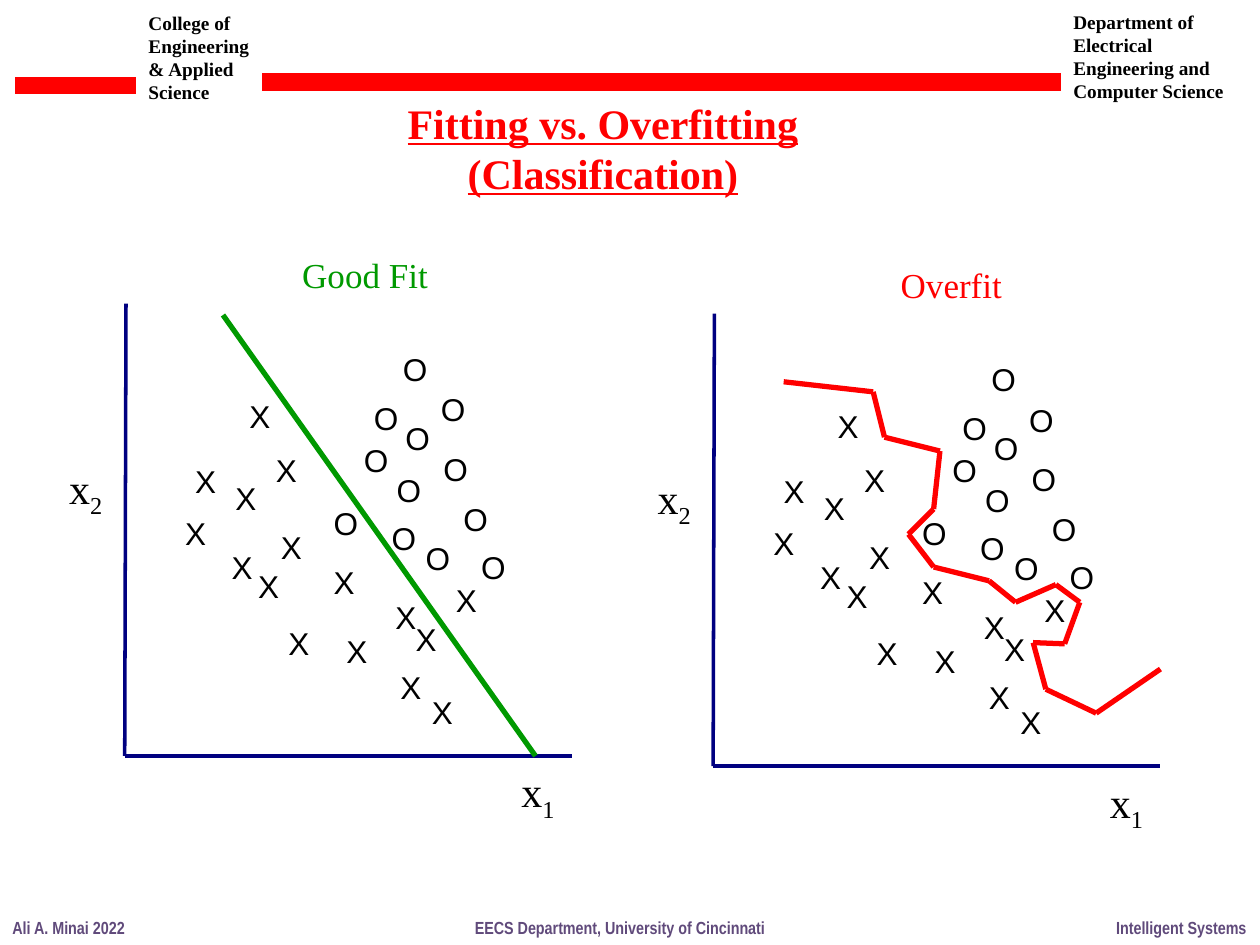
import itertools
from dataclasses import dataclass

import pptx
import pptx.dml.color
import pptx.enum.shapes
import pptx.enum.text
import pptx.oxml
import pptx.oxml.ns
import pptx.util
from pptx.util import Inches

RED = pptx.dml.color.RGBColor(0xFF, 0x00, 0x00)
GREEN = pptx.dml.color.RGBColor(0x00, 0x99, 0x00)
NAVY = pptx.dml.color.RGBColor(0x00, 0x00, 0x80)
PURPLE = pptx.dml.color.RGBColor(0x60, 0x4A, 0x7B)
BLACK = pptx.dml.color.RGBColor(0x00, 0x00, 0x00)
WHITE = pptx.dml.color.RGBColor(0xFF, 0xFF, 0xFF)
SERIF = "Times New Roman"
SANS = "Arial"
NARROW = "Arial Narrow"

Point = tuple[float, float]
Box = tuple[float, float, float, float]


@dataclass(frozen=True)
class Style:
    font: str
    size: float
    color: pptx.dml.color.RGBColor = BLACK
    bold: bool = False


@dataclass(frozen=True)
class Label:
    box: Box
    lines: tuple[str, ...]
    style: Style
    wrap: bool = False


@dataclass(frozen=True)
class Plot:
    offset: Point
    boundary: tuple[Point, ...]
    color: pptx.dml.color.RGBColor
    caption: str
    caption_box: Box


HEADER = Style(SERIF, 11, bold=True)
FOOTER = Style(NARROW, 10, PURPLE, bold=True)
TITLE = Style(SERIF, 24, RED, bold=True)
MARKER = Style(SANS, 18)
AXIS_NAME = Style(SERIF, 24)

LABELS = [
    Label((1.08, 0.04, 1.09, 0.84),
          ("College of Engineering & Applied", "Science"), HEADER, True),
    Label((8.42, 0.03, 1.47, 0.84),
          ("Department of Electrical Engineering and Computer Science",), HEADER, True),
    Label((0, 7.23, 1.1, 0.27), ("Ali A. Minai 2022",), FOOTER),
    Label((8.76, 7.23, 1.24, 0.27), ("Intelligent Systems",), FOOTER),
    Label((3.67, 7.23, 2.52, 0.27),
          ("EECS Department, University of Cincinnati",), FOOTER),
]

X_POINTS = [
    (1.88, 3.1), (1.77, 3.75), (2.09, 3.53), (2.55, 4.42), (2.13, 4.14),
    (1.45, 3.62), (1.95, 4.45), (1.74, 4.3), (1.37, 4.03), (3.04, 4.7),
    (3.2, 4.87), (3.52, 4.56), (3.33, 5.45), (3.08, 5.25), (2.19, 4.9),
    (2.65, 4.97),
]
O_POINTS = [
    (2.87, 3.12), (3.05, 3.69), (3.72, 4.3), (3.4, 3.05), (3.12, 3.28),
    (3.28, 4.23), (3.58, 3.92), (3.42, 3.52), (2.79, 3.45), (3.1, 2.73),
    (3.01, 4.07), (2.55, 3.95),
]

PLOTS = [
    Plot((0, 0), ((1.77, 2.5), (4.25, 6)), GREEN, "Good Fit", (2.3, 1.96, 1.21, 0.44)),
    Plot((4.67, 0.08),
         ((6.22, 3.03), (6.93, 3.11), (7.02, 3.47), (7.46, 3.58), (7.41, 4.04),
          (7.21, 4.24), (7.41, 4.5), (7.85, 4.61), (8.06, 4.78), (8.38, 4.64),
          (8.57, 4.78), (8.45, 5.11), (8.2, 5.1), (8.3, 5.47), (8.7, 5.66),
          (9.21, 5.31)),
         RED, "Overfit", (7.05, 2.04, 1.01, 0.44)),
]


def add_run(p, text: str, style: Style):
    r = p.add_run()
    r.text = text
    f = r.font
    f.name, f.size, f.bold = style.font, pptx.util.Pt(style.size), style.bold
    f.color.rgb = style.color
    return r


def setup_frame(tf, wrap: bool) -> None:
    tf.word_wrap = wrap
    tf.auto_size = pptx.enum.text.MSO_AUTO_SIZE.SHAPE_TO_FIT_TEXT
    tf.vertical_anchor = pptx.enum.text.MSO_ANCHOR.TOP


def fill_lines(tf, lines: tuple[str, ...], style: Style) -> list:
    runs = []
    for i, line in enumerate(lines):
        p = tf.add_paragraph() if i else tf.paragraphs[0]
        runs.append(add_run(p, line, style))
    return runs


def add_label(s, label: Label) -> None:
    tf = s.shapes.add_textbox(*map(Inches, label.box)).text_frame
    setup_frame(tf, label.wrap)
    fill_lines(tf, label.lines, label.style)


def add_title(s) -> None:
    sp = s.shapes.title
    sp.left, sp.top, sp.width, sp.height = map(Inches, (3.12, 0.72, 3.33, 0.91))
    tf = sp.text_frame
    setup_frame(tf, False)
    for r in fill_lines(tf, ("Fitting vs. Overfitting", "(Classification)"), TITLE):
        r.font.underline = True
    for p in tf.paragraphs:
        p.alignment = pptx.enum.text.PP_ALIGN.CENTER


def add_line(s, start: Point, end: Point, color: pptx.dml.color.RGBColor,
             width: float) -> None:
    cxn = s.shapes.add_connector(pptx.enum.shapes.MSO_CONNECTOR.STRAIGHT,
                                 *map(Inches, (*start, *end)))
    cxn.line.color.rgb = color
    cxn.line.width = pptx.util.Pt(width)
    spPr = cxn._element.spPr
    spPr.append(pptx.oxml.parse_xml(
        f"<a:effectLst {pptx.oxml.ns.nsdecls('a')}/>"))


def add_axis_name(s, at: Point, subscript: str) -> None:
    sp = s.shapes.add_shape(pptx.enum.shapes.MSO_SHAPE.RECTANGLE,
                            *map(Inches, (*at, 0.48, 0.5)))
    sp.shadow.inherit = False
    sp.fill.solid()
    sp.fill.fore_color.rgb = WHITE
    sp.line.fill.background()
    setup_frame(sp.text_frame, False)
    p = sp.text_frame.paragraphs[0]
    p.alignment = pptx.enum.text.PP_ALIGN.LEFT
    add_run(p, "x", AXIS_NAME)
    r = add_run(p, subscript, AXIS_NAME)
    r.font._element.set("baseline", "-25000")


def add_plot(s, plot: Plot) -> None:
    dx, dy = plot.offset

    def place(x: float, y: float) -> Point:
        return x + dx, y + dy

    add_line(s, place(1, 2.41), place(0.99, 6), NAVY, 2)
    add_line(s, place(0.99, 6), place(4.54, 6), NAVY, 2)
    add_axis_name(s, place(4.04, 6.03), "1")
    add_axis_name(s, place(0.45, 3.62), "2")
    for mark, width, points in (("X", 0.38, X_POINTS), ("O", 0.4, O_POINTS)):
        for point in points:
            add_label(s, Label((*place(*point), width, 0.4), (mark,), MARKER))
    for start, end in itertools.pairwise(plot.boundary):
        add_line(s, start, end, plot.color, 3)
    add_label(s, Label(plot.caption_box, (plot.caption,), Style(SERIF, 20, plot.color)))


def main() -> None:
    prs = pptx.Presentation()
    prs.slide_width, prs.slide_height = Inches(10), Inches(7.5)
    s = prs.slides.add_slide(prs.slide_layouts[5])
    add_line(s, (0.12, 0.68), (1.08, 0.68), RED, 10)
    add_line(s, (2.08, 0.65), (8.42, 0.65), RED, 10)
    for label in LABELS:
        add_label(s, label)
    add_title(s)
    for plot in PLOTS:
        add_plot(s, plot)
    prs.save("out.pptx")


if __name__ == "__main__":
    main()
